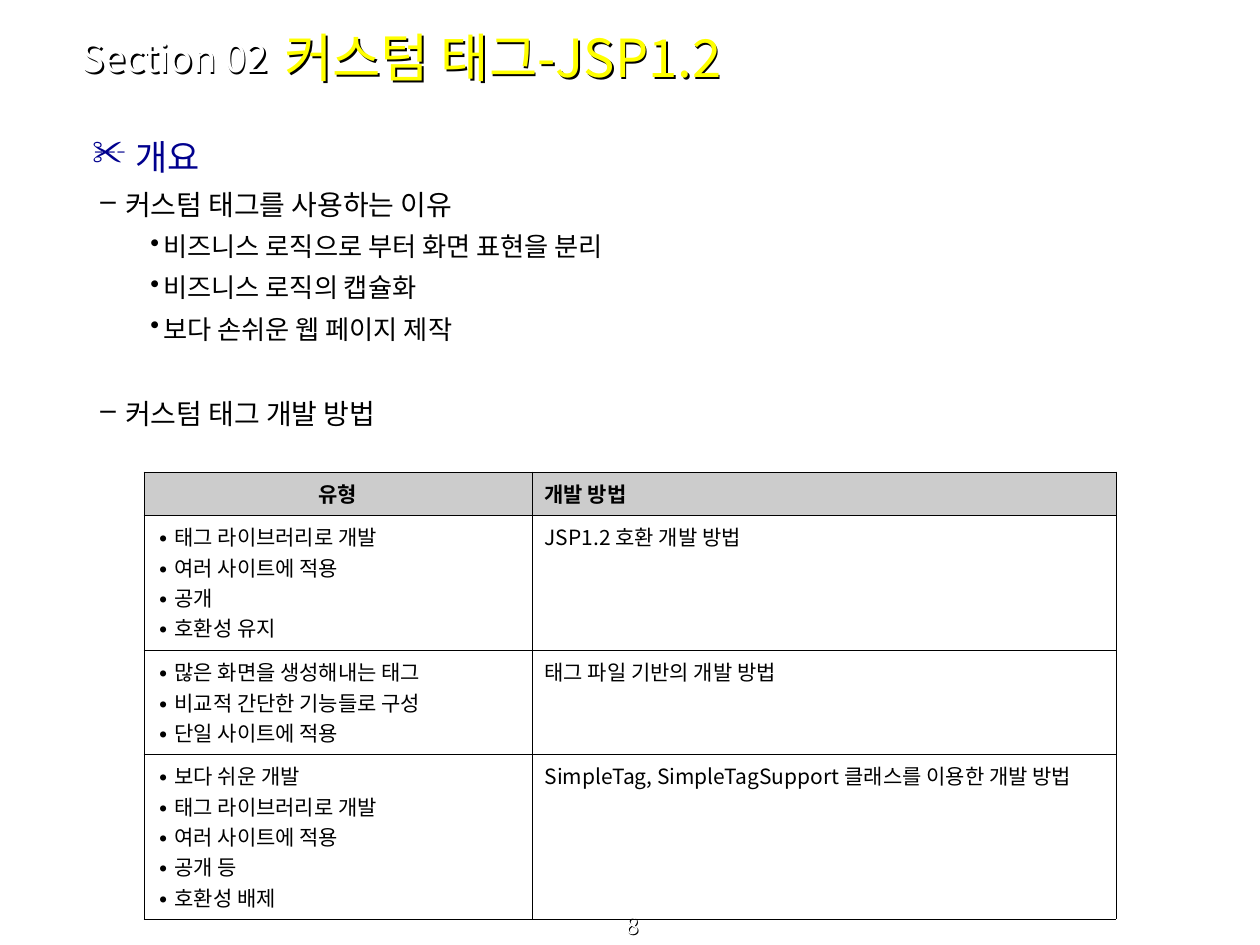
from lxml.etree import SubElement
from pptx import Presentation
from pptx.dml.color import RGBColor
from pptx.enum.text import MSO_ANCHOR as ANCHOR, PP_ALIGN as ALIGN
from pptx.oxml.ns import qn
from pptx.util import Emu, Pt

FONT = "Noto Sans CJK KR"
BLACK = RGBColor(0, 0, 0)
WHITE = RGBColor(255, 255, 255)
YELLOW = RGBColor(255, 255, 0)
NAVY = RGBColor(0, 0, 0x8E)
GRAY = RGBColor(0xCC, 0xCC, 0xCC)

# Outline levels: bullet, left margin px, indent px, size, line spacing, space before, colour
LEVELS = [
    ("✂", 59, -43, 20, 1.0, 5, NAVY),
    ("–", 49, -25, 16, 1.1, 4, BLACK),
    ("•", 87, -13, 15, 1.1, 3.7, BLACK),
]
SECTION_GAP = 28
OUTLINE = [
    (0, "개요"),
    (1, "커스텀 태그를 사용하는 이유"),
    (2, "비즈니스 로직으로 부터 화면 표현을 분리"),
    (2, "비즈니스 로직의 캡슐화"),
    (2, "보다 손쉬운 웹 페이지 제작"),
    (1, "커스텀 태그 개발 방법"),
]

HEADER = ("유형", "개발 방법")
METHODS = [
    (["태그 라이브러리로 개발", "여러 사이트에 적용", "공개", "호환성 유지"],
     "JSP1.2 호환 개발 방법"),
    (["많은 화면을 생성해내는 태그", "비교적 간단한 기능들로 구성", "단일 사이트에 적용"],
     "태그 파일 기반의 개발 방법"),
    (["보다 쉬운 개발", "태그 라이브러리로 개발", "여러 사이트에 적용", "공개 등", "호환성 배제"],
     "SimpleTag, SimpleTagSupport 클래스를 이용한 개발 방법"),
]


def px(n):
    return Emu(round(n * 914400 / 126))


def add_run(p, text, size, color, bold=False):
    r = p.add_run()
    r.text = text
    r.font.size = Pt(size)
    r.font.name = FONT
    r.font.bold = bold
    r.font.color.rgb = color


def add_box(s, box, anchor):
    sp = s.shapes.add_textbox(*map(px, box))
    sp.text_frame.word_wrap = True
    sp.text_frame.vertical_anchor = anchor
    return sp


def shadow_label(s, box, text, size, color, anchor=ANCHOR.MIDDLE, align=ALIGN.LEFT):
    sp = add_box(s, box, anchor)
    # The box has no fill, so its shadow falls from the letters
    effects = SubElement(sp._element.spPr, qn("a:effectLst"))
    outer = SubElement(effects, qn("a:outerShdw"), dist="17961", dir="2700000")
    SubElement(outer, qn("a:srgbClr"), val=str(BLACK))
    p = sp.text_frame.paragraphs[0]
    p.alignment = align
    add_run(p, text, size, color)


def outline(s, box):
    tf = add_box(s, box, ANCHOR.TOP).text_frame
    tf.margin_top = 0
    previous = 0
    for i, (level, text) in enumerate(OUTLINE):
        bullet, margin, indent, size, spacing, before, color = LEVELS[level]
        p = tf.add_paragraph() if i else tf.paragraphs[0]
        p.level = level
        p.line_spacing = spacing
        # A return to a higher level opens a new section
        p.space_before = Pt(SECTION_GAP if level < previous else before)
        pPr = p._p.get_or_add_pPr()
        pPr.set("marL", str(px(margin)))
        pPr.set("indent", str(px(indent)))
        bullet_color = SubElement(pPr, qn("a:buClr"))
        SubElement(bullet_color, qn("a:srgbClr"), val=str(color))
        SubElement(pPr, qn("a:buChar"), char=bullet)
        add_run(p, text, size, color)
        previous = level


def border_cell(cell):
    tcPr = cell._tc.get_or_add_tcPr()
    for i, side in enumerate(("a:lnL", "a:lnR", "a:lnT", "a:lnB")):
        ln = SubElement(tcPr, qn(side), w=str(Pt(0.45)))
        fill = SubElement(ln, qn("a:solidFill"))
        SubElement(fill, qn("a:srgbClr"), val=str(BLACK))
        tcPr.insert(i, ln)


def fill_cell(cell, lines, header=False, align=ALIGN.JUSTIFY):
    if header:
        cell.fill.solid()
        cell.fill.fore_color.rgb = GRAY
    else:
        cell.fill.background()
    border_cell(cell)
    tf = cell.text_frame
    for i, line in enumerate(lines):
        p = tf.add_paragraph() if i else tf.paragraphs[0]
        p.alignment = align
        if i == 0:
            p.space_before = Pt(7.5)
        add_run(p, line, 12, BLACK, bold=header)


def method_table(s, box, col_widths, row_heights):
    table = s.shapes.add_table(len(row_heights), len(col_widths), *map(px, box)).table
    table.horz_banding = False
    for col, width in zip(table.columns, col_widths):
        col.width = px(width)
    for row, height in zip(table.rows, row_heights):
        row.height = px(height)

    # Header row
    for c, (text, align) in enumerate(zip(HEADER, (ALIGN.CENTER, ALIGN.JUSTIFY))):
        fill_cell(table.cell(0, c), [text], header=True, align=align)

    # Body rows
    for r, (kinds, method) in enumerate(METHODS, 1):
        fill_cell(table.cell(r, 0), [f"∙ {kind}" for kind in kinds])
        fill_cell(table.cell(r, 1), [method])


def main():
    prs = Presentation()
    prs.slide_width, prs.slide_height = px(1260), px(945)
    s = prs.slides.add_slide(prs.slide_layouts[6])

    # Page number
    shadow_label(s, (0, 917, 1260, 28), " 8", 13, WHITE, ANCHOR.BOTTOM, ALIGN.CENTER)
    # Overview
    outline(s, (64, 135, 1134, 624))
    # Title and section label
    shadow_label(s, (272, 14, 818, 86), "커스텀 태그-JSP1.2", 30, YELLOW)
    shadow_label(s, (69, 34, 243, 47), "Section 02", 22, WHITE)
    # Development methods
    method_table(s, (144, 472, 972, 447), (388, 584), (43, 135, 104, 165))

    prs.save("out.pptx")


if __name__ == "__main__":
    main()
